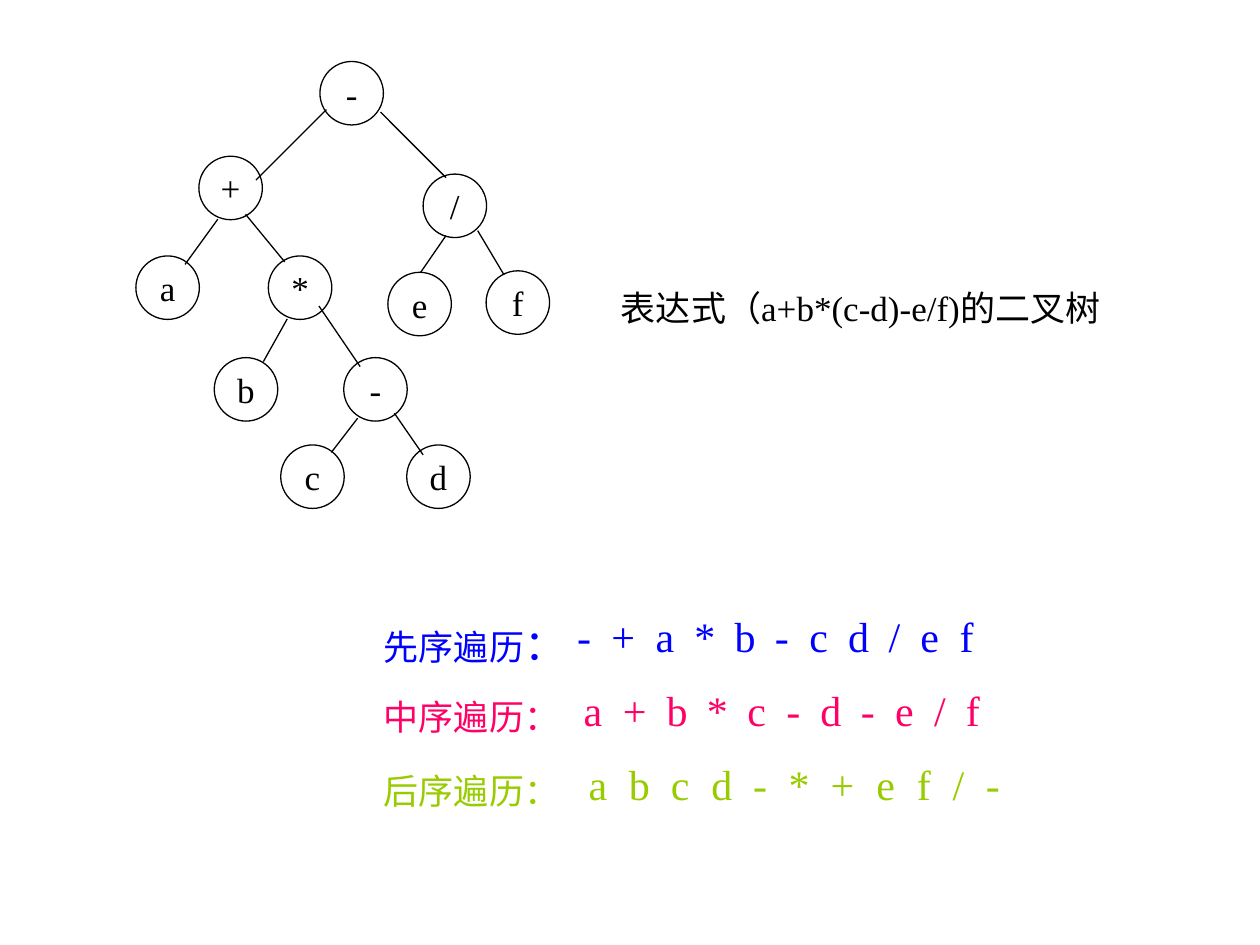
import pptx
import pptx.dml.color
import pptx.enum.shapes
import pptx.enum.text
import pptx.oxml.ns
import pptx.util
from lxml import etree

Cm = pptx.util.Cm
Pt = pptx.util.Pt
RGBColor = pptx.dml.color.RGBColor
Align = pptx.enum.text.PP_ALIGN
Anchor = pptx.enum.text.MSO_ANCHOR

BLACK = RGBColor(0x00, 0x00, 0x00)
BLUE = RGBColor(0x00, 0x00, 0xFF)
PINK = RGBColor(0xFF, 0x00, 0x66)
GREEN = RGBColor(0x99, 0xCC, 0x00)

# symbol, left, top in cm
NODES = [
    ("-", 6.45, 1.24),
    ("+", 4.01, 3.15), ("/", 8.53, 3.51),
    ("a", 2.74, 5.16), ("*", 5.41, 5.16), ("e", 7.82, 5.49), ("f", 9.8, 5.46),
    ("b", 4.32, 7.21), ("-", 6.93, 7.21),
    ("c", 5.66, 8.97), ("d", 8.2, 8.97),
]

# parent end x, y, child end x, y in cm
EDGES = [
    (6.58, 2.21, 5.16, 3.63), (7.67, 2.26, 8.99, 3.58),
    (4.39, 4.42, 3.73, 5.33), (4.95, 4.32, 5.74, 5.28),
    (8.99, 4.75, 8.48, 5.49), (9.63, 4.65, 10.16, 5.54),
    (5.79, 6.43, 5.31, 7.29), (6.43, 6.17, 7.26, 7.39),
    (7.21, 8.43, 6.68, 9.12), (7.95, 8.33, 8.53, 9.17),
]

# label runs with sizes, label top, label size, symbols, left, overlap, colour
TRAVERSALS = [
    ([("先序遍历", 20), ("：", 24)], 12.34, (4.17, 1.27), "-+a*b-cd/ef", 11.38, 0.1, BLUE),
    ([("中序遍历：", 20)], 13.89, (4.04, 1.12), "a+b*c-d-e/f", 11.51, 0.1, PINK),
    ([("后序遍历：", 20)], 15.37, (4.04, 1.12), "abcd-*+ef/-", 11.61, 0.07, GREEN),
]
SYMBOL_WIDTHS = {"-": 0.79, "+": 0.99, "a": 0.89, "*": 0.91, "b": 0.91,
                 "c": 0.89, "d": 0.91, "/": 0.74, "e": 0.89, "f": 0.79}
ROW_TOP = 12.19
ROW_PITCH = 1.49


class TreeSlide:
    font_name = "Times New Roman"
    line_width = Pt(0.75)
    node_size = Cm(1.28)

    def __init__(self, slide):
        self.slide = slide
        self.tree = slide.shapes.add_group_shape().shapes

    def set_label(self, shape, pieces, color, align, anchor):
        """Fill a shape with one paragraph of (text, size) pieces."""
        frame = shape.text_frame
        frame.word_wrap = False
        frame.vertical_anchor = anchor
        para = frame.paragraphs[0]
        para.alignment = align
        for text, size in pieces:
            span = para.add_run()
            span.text = text
            span.font.name = self.font_name
            span.font.size = Pt(size)
            span.font.color.rgb = color

    def node(self, symbol, left, top):
        circle = self.tree.add_shape(pptx.enum.shapes.MSO_SHAPE.OVAL, Cm(left), Cm(top),
                                     self.node_size, self.node_size)
        circle.shadow.inherit = False
        circle.fill.background()
        circle.line.color.rgb = BLACK
        circle.line.width = self.line_width
        self.set_label(circle, [(symbol, 20)], BLACK, Align.CENTER, Anchor.MIDDLE)

    def edge(self, *ends):
        line = self.tree.add_connector(pptx.enum.shapes.MSO_CONNECTOR.STRAIGHT,
                                       *(Cm(end) for end in ends))
        line.line.color.rgb = BLACK
        line.line.width = self.line_width
        etree.SubElement(line._element.spPr, pptx.oxml.ns.qn("a:effectLst"))

    def text(self, pieces, left, top, width, height, color,
             align=Align.CENTER, anchor=Anchor.MIDDLE):
        box = self.slide.shapes.add_textbox(Cm(left), Cm(top), Cm(width), Cm(height))
        self.set_label(box, pieces, color, align, anchor)
        box.text_frame.auto_size = pptx.enum.text.MSO_AUTO_SIZE.SHAPE_TO_FIT_TEXT

    def symbol_row(self, symbols, left, top, overlap, color):
        """Set symbols side by side, each box overlapping the one before."""
        for symbol in symbols:
            width = SYMBOL_WIDTHS[symbol]
            self.text([(symbol, 24)], left, top, width, 1.27, color)
            left += width - overlap


def main():
    deck = pptx.Presentation()
    deck.slide_width, deck.slide_height = Cm(25.4), Cm(19.05)
    page = TreeSlide(deck.slides.add_slide(deck.slide_layouts[6]))

    for node in NODES:
        page.node(*node)
    for edge in EDGES:
        page.edge(*edge)

    for row, (label, label_top, size, symbols, left, overlap, color) in enumerate(TRAVERSALS):
        page.text(label, 7.49, label_top, *size, color, align=Align.LEFT)
        page.symbol_row(symbols, left, ROW_TOP + row * ROW_PITCH, overlap, color)

    page.text([("表达式（a+b*(c-d)-e/f)的二叉树", 20)], 12.09, 5.66, 10.52, 1.12,
              BLACK, anchor=Anchor.TOP)
    deck.save("out.pptx")


if __name__ == "__main__":
    main()
